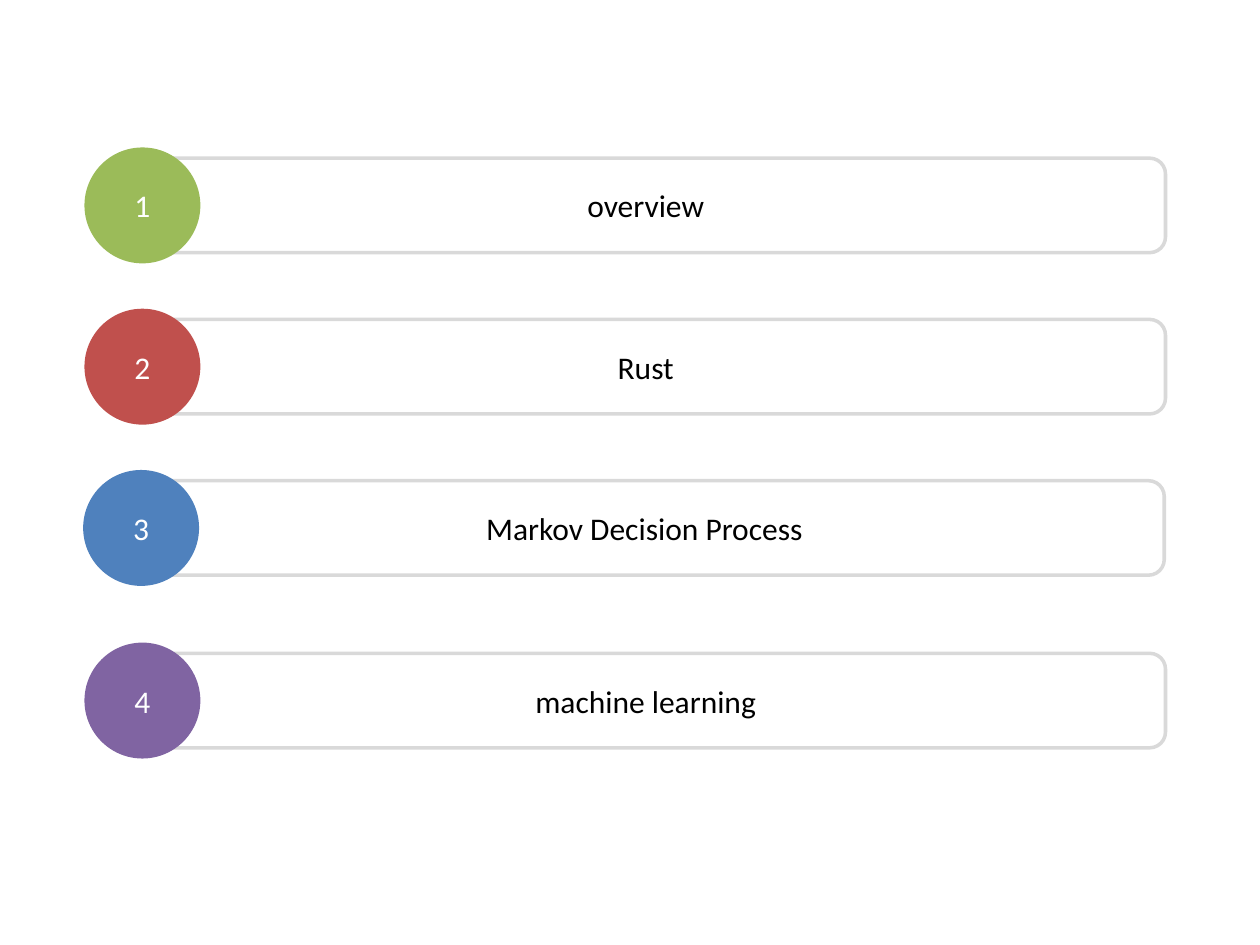
from dataclasses import dataclass

from pptx import Presentation
from pptx.dml.color import RGBColor
from pptx.enum.shapes import MSO_SHAPE as Shape
from pptx.enum.text import MSO_ANCHOR as Anchor, PP_ALIGN as Align
from pptx.shapes.autoshape import Shape as AutoShape
from pptx.util import Inches, Pt

BLACK = RGBColor(0x00, 0x00, 0x00)
WHITE = RGBColor(0xFF, 0xFF, 0xFF)
GRAY = RGBColor(0xD9, 0xD9, 0xD9)
GREEN = RGBColor(0x9B, 0xBB, 0x59)
RED = RGBColor(0xC0, 0x50, 0x4D)
BLUE = RGBColor(0x4F, 0x81, 0xBD)
PURPLE = RGBColor(0x80, 0x64, 0xA2)

BADGE_SIZE = 0.92
BAR_WIDTH, BAR_HEIGHT = 8.25, 0.75
BAR_INDENT = 0.33
BAR_DROP = (BADGE_SIZE - BAR_HEIGHT) / 2
TEXT_FORMAT = {"name": "Calibri", "size": Pt(18)}


@dataclass(frozen=True)
class AgendaItem:
    title: str
    color: RGBColor
    left: float
    top: float


AGENDA = [
    AgendaItem("overview", GREEN, 0.67, 1.17),
    AgendaItem("Rust", RED, 0.67, 2.45),
    AgendaItem("Markov Decision Process", BLUE, 0.66, 3.73),
    AgendaItem("machine learning", PURPLE, 0.67, 5.1),
]


def write_centered(box: AutoShape, text: str, color: RGBColor) -> None:
    frame = box.text_frame
    frame.word_wrap = True
    frame.vertical_anchor = Anchor.MIDDLE
    para = frame.paragraphs[0]
    para.alignment = Align.CENTER
    span = para.add_run()
    span.text = text
    for name, value in TEXT_FORMAT.items():
        setattr(span.font, name, value)
    span.font.color.rgb = color


def draw_item(page, number: int, item: AgendaItem) -> None:
    """Group a titled bar with the numbered badge over its left end."""
    shapes = page.shapes.add_group_shape().shapes

    bar = shapes.add_shape(
        Shape.ROUNDED_RECTANGLE,
        Inches(item.left + BAR_INDENT), Inches(item.top + BAR_DROP),
        Inches(BAR_WIDTH), Inches(BAR_HEIGHT),
    )
    bar.shadow.inherit = False
    bar.fill.background()
    bar.line.color.rgb = GRAY
    bar.line.width = Pt(2)
    write_centered(bar, item.title, BLACK)

    badge = shapes.add_shape(
        Shape.OVAL, Inches(item.left), Inches(item.top),
        Inches(BADGE_SIZE), Inches(BADGE_SIZE),
    )
    badge.shadow.inherit = False
    badge.fill.solid()
    badge.fill.fore_color.rgb = item.color
    badge.line.fill.background()
    write_centered(badge, str(number), WHITE)


def main() -> None:
    deck = Presentation()
    deck.slide_width, deck.slide_height = Inches(10), Inches(7.5)
    page = deck.slides.add_slide(deck.slide_layouts[6])
    for number, item in enumerate(AGENDA, start=1):
        draw_item(page, number, item)
    deck.save("out.pptx")


if __name__ == "__main__":
    main()
